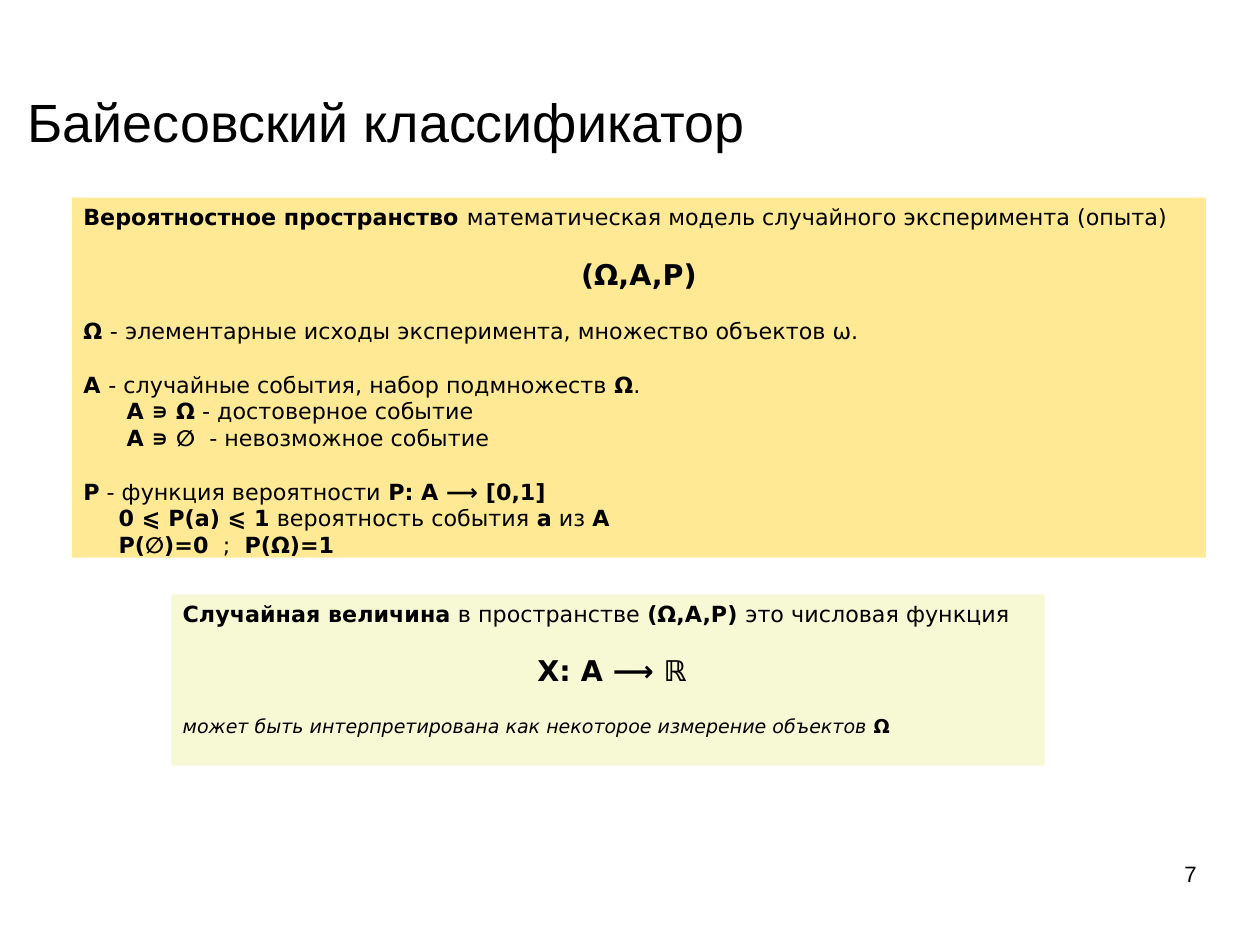
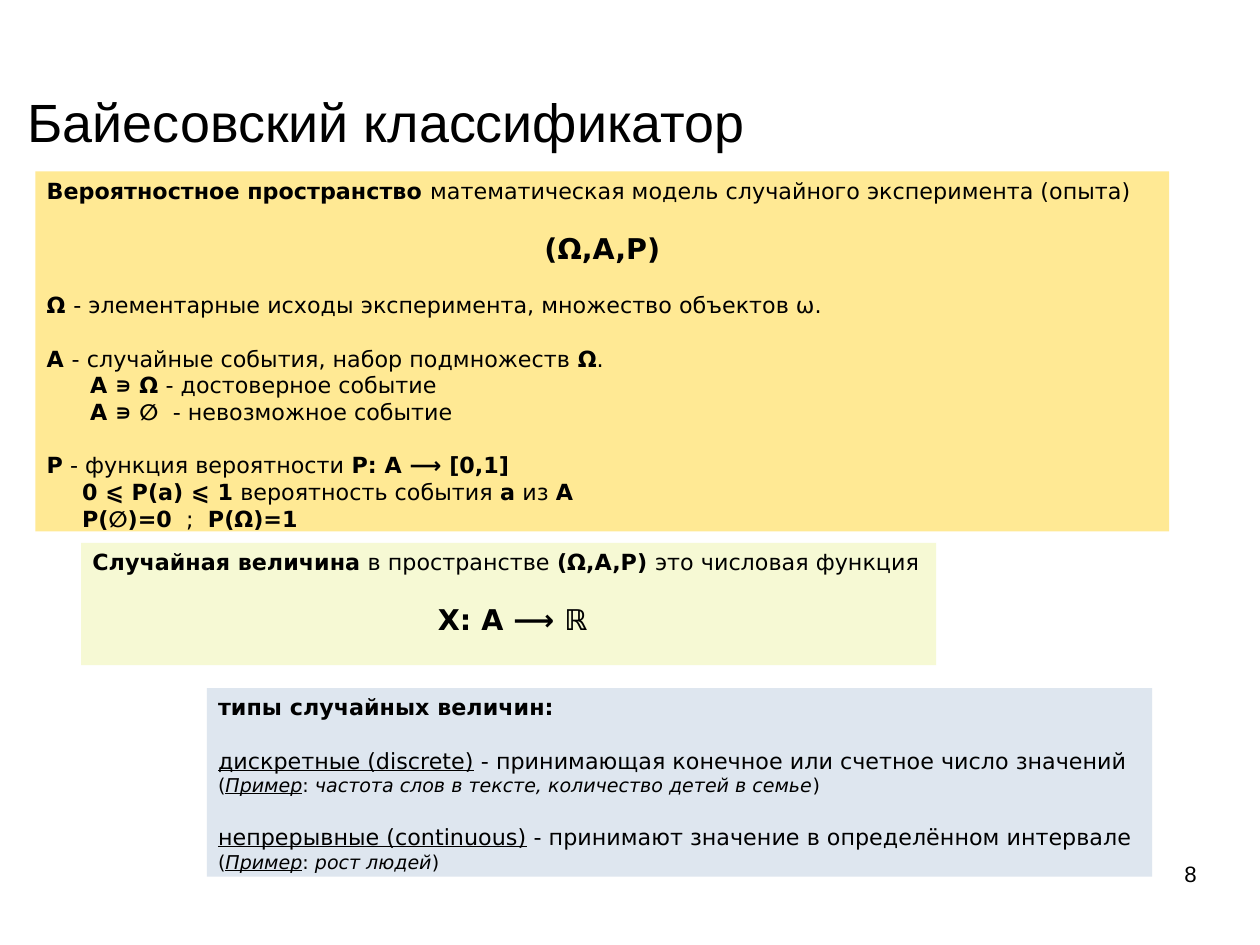
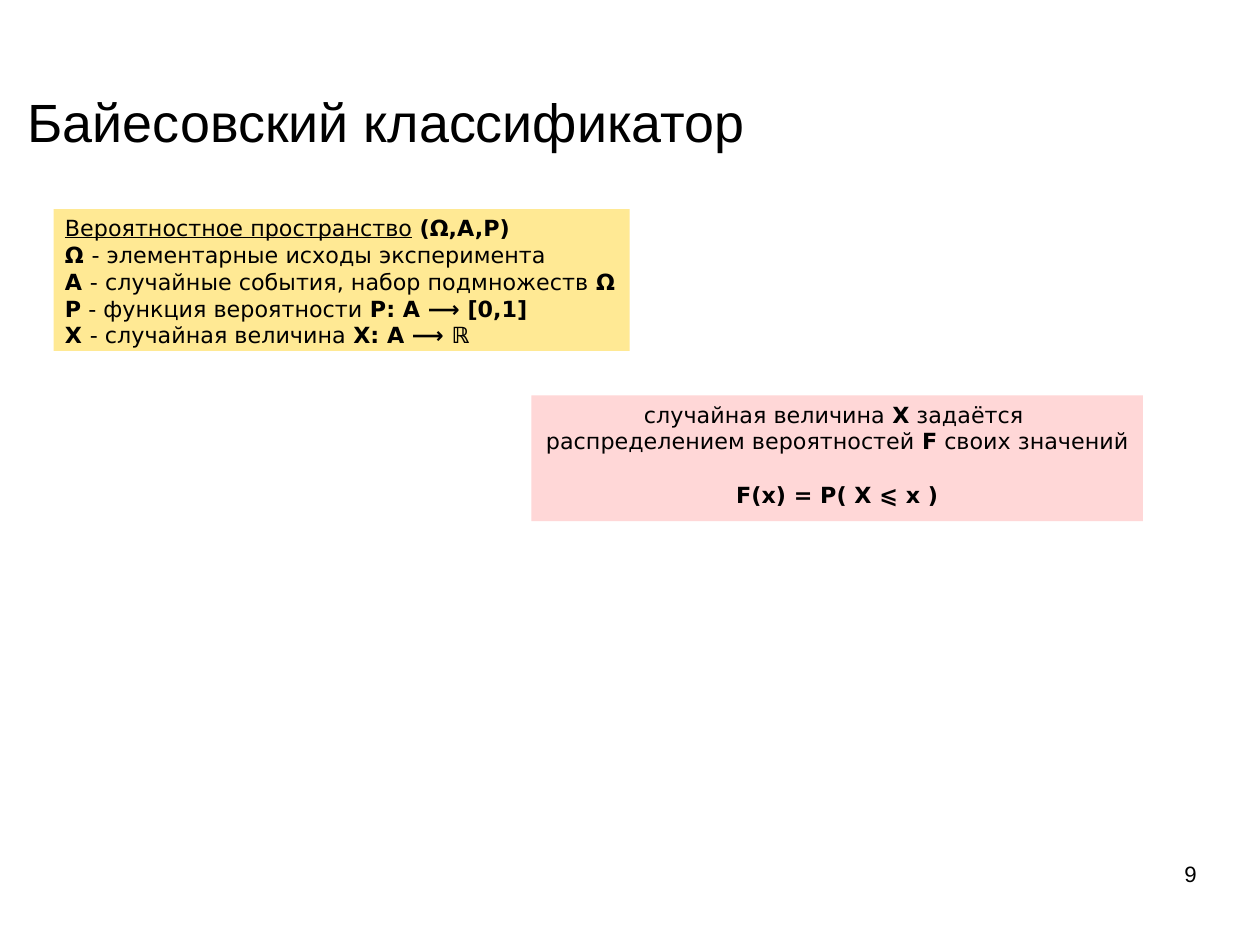
from dataclasses import dataclass
from typing import Optional

from lxml.etree import SubElement
from pptx import Presentation
from pptx.dml.color import RGBColor
from pptx.enum.shapes import MSO_SHAPE
from pptx.enum.text import MSO_ANCHOR, MSO_AUTO_SIZE, PP_ALIGN
from pptx.oxml.ns import qn
from pptx.util import Cm, Inches, Pt


@dataclass(frozen=True)
class Theme:
    ink: str = "000000"
    yellow: str = "FFE994"
    green: str = "F6F9D4"
    blue: str = "DEE6EF"
    pink: str = "FFD7D7"
    title_font: str = "Arial"
    body_font: str = "DejaVu Sans"
    title_size: float = 33.9
    formula_size: float = 18
    body_size: float = 14
    note_size: float = 12
    gap: float = 16.8


THEME = Theme()


@dataclass(frozen=True)
class Span:
    text: str
    bold: bool = False
    italic: bool = False
    underline: bool = False


@dataclass(frozen=True)
class Para:
    spans: tuple[Span, ...]
    size: float = THEME.body_size
    align: PP_ALIGN = PP_ALIGN.LEFT
    indent: float = 0
    gap: bool = False


@dataclass(frozen=True)
class Panel:
    left: float
    top: float
    width: float
    height: float
    fill: str
    paras: tuple[Para, ...]


def bold(text: str) -> Span:
    return Span(text, bold=True)


def italic(text: str) -> Span:
    return Span(text, italic=True)


def under(text: str) -> Span:
    return Span(text, underline=True)


def para(*parts: Span | str, **fmt) -> Para:
    return Para(tuple(Span(x) if isinstance(x, str) else x for x in parts), **fmt)


def formula(text: str, indent: float = 0) -> Para:
    return para(bold(text), size=THEME.formula_size, align=PP_ALIGN.CENTER,
                indent=indent, gap=True)


def example(text: str) -> Para:
    return para("(", Span("Пример", italic=True, underline=True), ": ",
                italic(text), ")", size=THEME.note_size)


def add_run(p, text: str, *, size: float, font: str = THEME.body_font,
            bold: Optional[bool] = None, italic: Optional[bool] = None,
            underline: Optional[bool] = None, color: str = THEME.ink) -> None:
    r = p.add_run()
    r.text = text
    r.font.size = Pt(size)
    r.font.bold = bold
    r.font.italic = italic
    r.font.underline = underline
    r.font.color.rgb = RGBColor.from_string(color)
    r.font.name = font
    SubElement(r.font._element, qn("a:ea")).set("typeface", font)


def set_frame(tf, margin_x: float, margin_y: float, anchor: MSO_ANCHOR) -> None:
    tf.word_wrap = True
    tf.auto_size = MSO_AUTO_SIZE.NONE
    tf.vertical_anchor = anchor
    tf.margin_left = tf.margin_right = Inches(margin_x)
    tf.margin_top = tf.margin_bottom = Inches(margin_y)


def add_title(s, text: str) -> None:
    sp = s.shapes.title
    sp.left, sp.top = Inches(0.24), Inches(0.79)
    sp.width, sp.height = Inches(9.68), Inches(0.54)
    set_frame(sp.text_frame, 0, 0, MSO_ANCHOR.MIDDLE)
    p = sp.text_frame.paragraphs[0]
    p.alignment = PP_ALIGN.LEFT
    add_run(p, text, size=THEME.title_size, font=THEME.title_font)


def add_number(s, number: int) -> None:
    sp = s.shapes.add_textbox(Inches(7.9), Inches(7.53), Inches(2.57), Inches(0.57))
    set_frame(sp.text_frame, 0, 0, MSO_ANCHOR.TOP)
    p = sp.text_frame.paragraphs[0]
    p.alignment = PP_ALIGN.RIGHT
    add_run(p, str(number), size=THEME.body_size, font=THEME.title_font)


def add_panel(s, panel: Panel) -> None:
    sp = s.shapes.add_shape(MSO_SHAPE.RECTANGLE, Inches(panel.left), Inches(panel.top),
                            Inches(panel.width), Inches(panel.height))
    sp.shadow.inherit = False
    sp.fill.solid()
    sp.fill.fore_color.rgb = RGBColor.from_string(panel.fill)
    sp.line.fill.background()
    tf = sp.text_frame
    set_frame(tf, 0.1, 0.05, MSO_ANCHOR.TOP)
    for i, item in enumerate(panel.paras):
        p = tf.add_paragraph() if i else tf.paragraphs[0]
        p.alignment = item.align
        if item.gap:
            p.space_before = Pt(THEME.gap)
        if item.indent:
            p._p.get_or_add_pPr().set("marL", str(Inches(item.indent)))
        for span in item.spans:
            add_run(p, span.text, size=item.size, bold=span.bold,
                    italic=span.italic, underline=span.underline)


TITLE = "Байесовский классификатор"
FIRST_NUMBER = 7
EVENT_INDENT = 0.38
PROBABILITY_INDENT = 0.31

PROBABILITY = para(bold("P"), " - функция вероятности ", bold("P: A ⟶ [0,1]"))

SPACE = (
    para(bold("Вероятностное пространство "),
         "математическая модель случайного эксперимента (опыта)"),
    formula("(Ω,A,P)"),
    para(bold("Ω "), "- элементарные исходы эксперимента, множество объектов ω.", gap=True),
    para(bold("A "), "- случайные события, набор подмножеств ", bold("Ω"), ".", gap=True),
    para(bold("A ∍ Ω"), " - достоверное событие", indent=EVENT_INDENT),
    para(bold("A ∍ ∅"), "  - невозможное событие", indent=EVENT_INDENT),
    para(*PROBABILITY.spans, gap=True),
    para(bold("0 ⩽ P(a) ⩽ 1"), " вероятность события ", bold("a"), " из ", bold("A"),
         indent=PROBABILITY_INDENT),
    para(bold("P(∅)=0"), "  ;  ", bold("P(Ω)=1"), indent=PROBABILITY_INDENT),
)

VARIABLE = (
    para(bold("Случайная величина"), " в пространстве ", bold("(Ω,A,P) "),
         "это числовая функция"),
    formula("X: A ⟶ ℝ", indent=0.07),
)

MEASUREMENT = para(italic("может быть интерпретирована как некоторое измерение объектов "),
                   bold("Ω"), size=THEME.note_size, gap=True)

KINDS = (
    para(bold("типы случайных величин:")),
    para(under("дискретные (discrete)"),
         " - принимающая конечное или счетное число значений", gap=True),
    example("частота слов в тексте, количество детей в семье"),
    para(under("непрерывные (continuous)"),
         " - принимают значение в определённом интервале", gap=True),
    example("рост людей"),
)

SUMMARY = (
    para(under("Вероятностное пространство"), " ", bold("(Ω,A,P)")),
    para(bold("Ω "), "- элементарные исходы эксперимента"),
    para(bold("A "), "- случайные события, набор подмножеств ", bold("Ω")),
    PROBABILITY,
    para(bold("X "), "- случайная величина ", bold("X: A ⟶ ℝ")),
)

DISTRIBUTION = (
    para("случайная величина ", bold("X"), " задаётся ", align=PP_ALIGN.CENTER),
    para("распределением вероятностей ", bold("F"), " своих значений ",
         align=PP_ALIGN.CENTER),
    para(bold("F(x) = P( X ⩽ x )"), align=PP_ALIGN.CENTER, gap=True),
)

SLIDES = (
    (
        Panel(0.63, 1.73, 9.92, 3.15, THEME.yellow, SPACE),
        Panel(1.5, 5.2, 7.64, 1.5, THEME.green, (*VARIABLE, MEASUREMENT)),
    ),
    (
        Panel(0.31, 1.5, 9.92, 3.15, THEME.yellow, SPACE),
        Panel(0.71, 4.75, 7.48, 1.07, THEME.green, VARIABLE),
        Panel(1.81, 6.02, 8.27, 1.65, THEME.blue, KINDS),
    ),
    (
        Panel(0.47, 1.83, 5.04, 1.24, THEME.yellow, SUMMARY),
        Panel(4.65, 3.46, 5.35, 1.1, THEME.pink, DISTRIBUTION),
    ),
)


def main() -> None:
    prs = Presentation()
    prs.slide_width, prs.slide_height = Cm(28), Cm(21)
    for number, panels in enumerate(SLIDES, FIRST_NUMBER):
        s = prs.slides.add_slide(prs.slide_layouts[5])
        add_title(s, TITLE)
        for panel in panels:
            add_panel(s, panel)
        add_number(s, number)
    prs.save("out.pptx")


if __name__ == "__main__":
    main()
